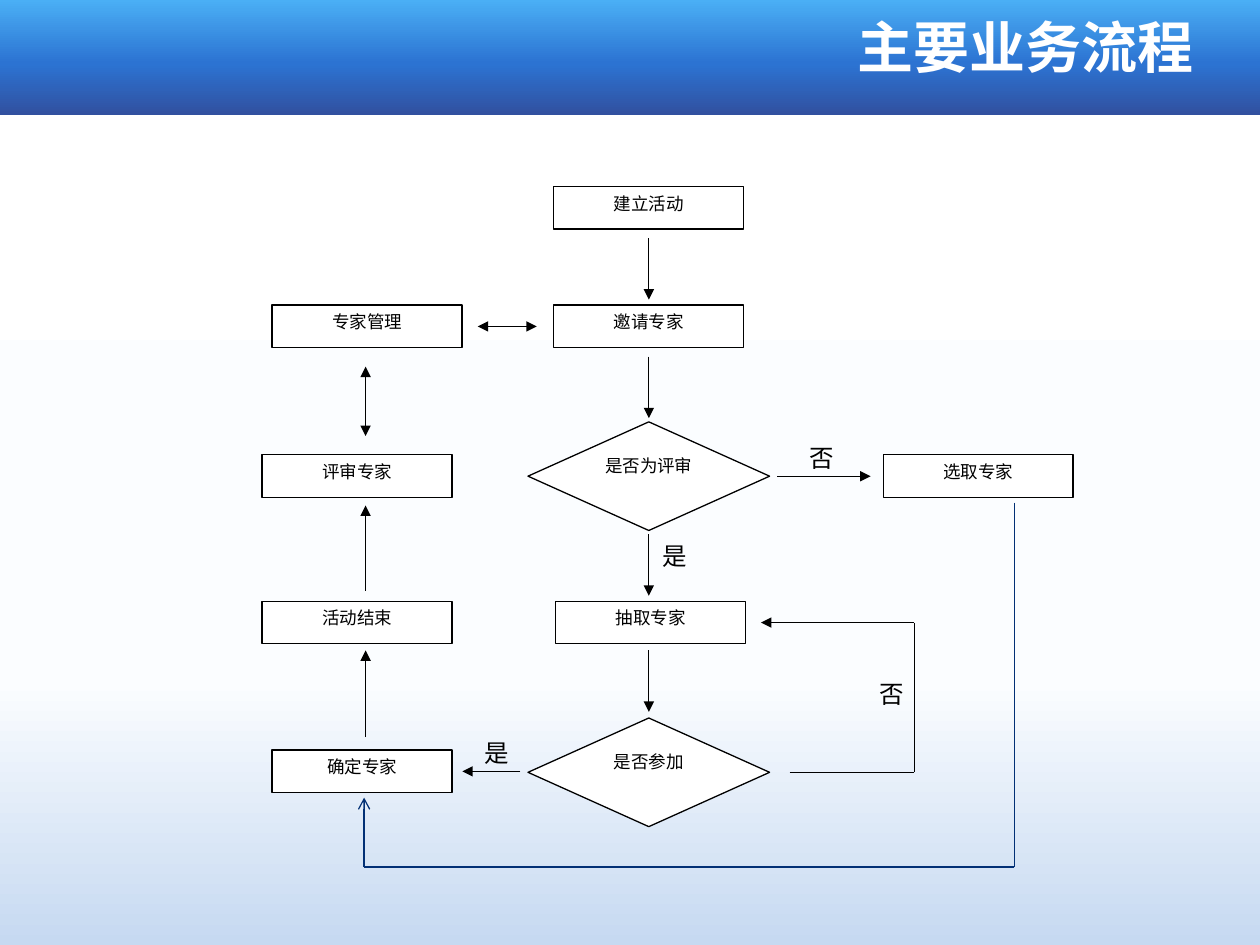
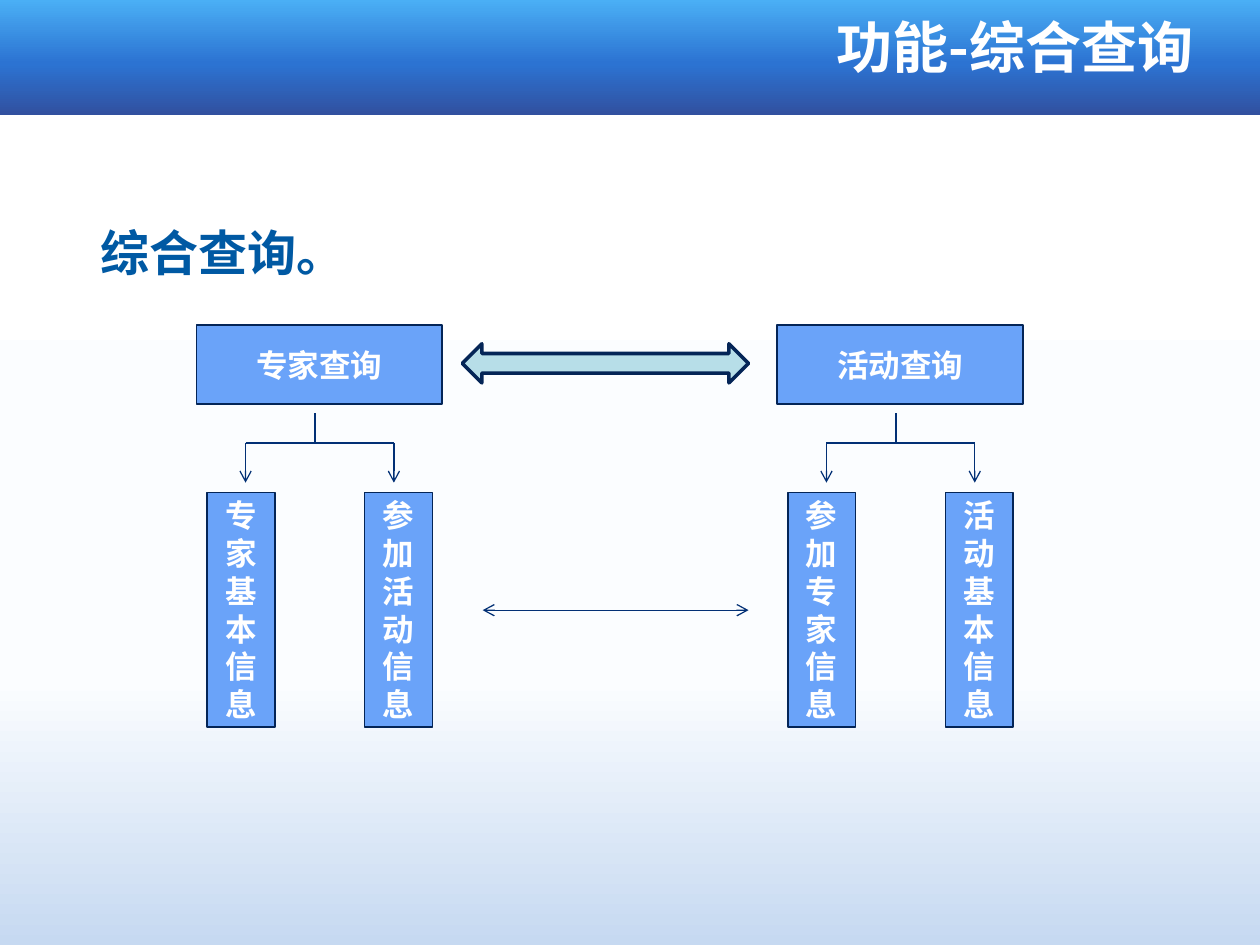
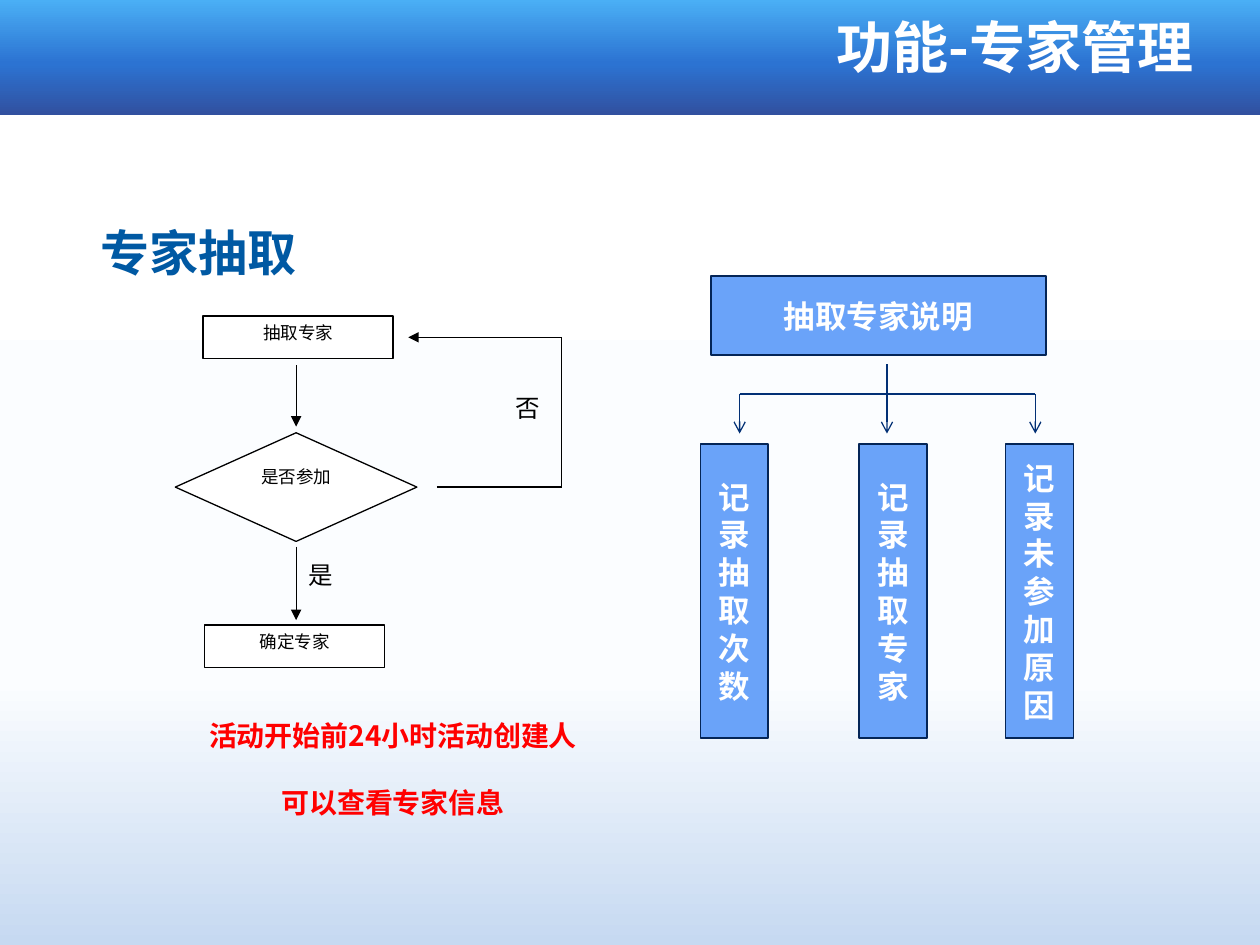
from dataclasses import dataclass

from lxml.etree import SubElement
from pptx import Presentation
from pptx.dml.color import RGBColor
from pptx.dml.fill import FillFormat
from pptx.enum.shapes import MSO_CONNECTOR, MSO_SHAPE
from pptx.enum.text import MSO_ANCHOR as Anchor, PP_ALIGN as Align
from pptx.oxml.ns import qn
from pptx.shapes.autoshape import Shape
from pptx.slide import Slide
from pptx.util import Cm, Pt

BLACK = RGBColor(0x00, 0x00, 0x00)
WHITE = RGBColor(0xFF, 0xFF, 0xFF)
RED = RGBColor(0xFF, 0x00, 0x00)
HEADING_BLUE = RGBColor(0x00, 0x59, 0xA3)
LINE_BLUE = RGBColor(0x02, 0x30, 0x75)
BLOCK_BLUE = RGBColor(0x6A, 0xA3, 0xF9)
BLOCK_EDGE = RGBColor(0x04, 0x25, 0x57)
PALE_TEAL = RGBColor(0xB7, 0xDE, 0xE8)

GradientStops = list[tuple[int, RGBColor]]
PAGE_STOPS: GradientStops = [
    (0, RGBColor(0xC6, 0xD9, 0xF1)),
    (28, RGBColor(0xFB, 0xFD, 0xFF)),
    (100, WHITE),
]
BAND_STOPS: GradientStops = [
    (0, RGBColor(0x31, 0x50, 0x9F)),
    (45, RGBColor(0x2C, 0x73, 0xD2)),
    (100, RGBColor(0x4A, 0xAF, 0xF5)),
]

HEADING_FONT = "Noto Sans CJK SC"
BODY_FONT = "Calibri"
FLOW_FONT = "Times New Roman"

BOX_WIDTH, BOX_HEIGHT = 3.83, 0.86
CONFIRM_WIDTH = 3.63
DIAMOND_WIDTH, DIAMOND_HEIGHT = 4.87, 2.19
HEADER_HEIGHT = 1.6
COLUMN_WIDTH = 1.37
ARROW_LENGTH = 1.24


@dataclass(frozen=True)
class Area:
    left: float
    top: float
    width: float
    height: float

    def lengths(self) -> tuple[Cm, Cm, Cm, Cm]:
        return Cm(self.left), Cm(self.top), Cm(self.width), Cm(self.height)


@dataclass(frozen=True)
class TextStyle:
    font: str
    size: int
    color: RGBColor
    bold: bool = False
    align: Align = Align.CENTER
    anchor: Anchor = Anchor.TOP
    spacing: float = 1.0


@dataclass(frozen=True)
class FlowStep:
    text: str
    center: float
    middle: float
    width: float = BOX_WIDTH
    decision: bool = False
    font: str = FLOW_FONT


@dataclass(frozen=True)
class Link:
    start: tuple[float, float]
    end: tuple[float, float]
    color: RGBColor = BLACK
    head: str = ""
    tail: str = ""


TITLE_STYLE = TextStyle(HEADING_FONT, 32, WHITE, True, Align.RIGHT)
HEADING_STYLE = TextStyle(HEADING_FONT, 28, HEADING_BLUE, True, Align.LEFT, spacing=2.0)
NOTICE_STYLE = TextStyle(HEADING_FONT, 16, RED, True, spacing=2.0)
BLOCK_STYLE = TextStyle(BODY_FONT, 18, WHITE, True, anchor=Anchor.MIDDLE)
ANSWER_STYLE = TextStyle(BODY_FONT, 14, BLACK, anchor=Anchor.MIDDLE)


def paint_gradient(fill: FillFormat, owner, stops: GradientStops) -> None:
    fill.gradient()
    fill.gradient_angle = 90
    stop_list = next(owner.iter(qn("a:gsLst")))
    for old_stop in list(stop_list):
        stop_list.remove(old_stop)
    for position, color in stops:
        stop = SubElement(stop_list, qn("a:gs"), pos=str(position * 1000))
        SubElement(stop, qn("a:srgbClr"), val=str(color))


def write_text(shape: Shape, lines: list[str], style: TextStyle) -> None:
    frame = shape.text_frame
    frame.word_wrap = True
    frame.vertical_anchor = style.anchor
    for index, line in enumerate(lines):
        paragraph = frame.add_paragraph() if index else frame.paragraphs[0]
        paragraph.alignment = style.align
        paragraph.line_spacing = style.spacing
        run = paragraph.add_run()
        run.text = line
        run.font.name = style.font
        run.font.size = Pt(style.size)
        run.font.bold = style.bold
        run.font.color.rgb = style.color


def add_text(slide: Slide, area: Area, lines: list[str], style: TextStyle) -> None:
    write_text(slide.shapes.add_textbox(*area.lengths()), lines, style)


def add_filled(slide: Slide, kind: MSO_SHAPE, area: Area, fill: RGBColor,
               edge: RGBColor, edge_width: float) -> Shape:
    shape = slide.shapes.add_shape(kind, *area.lengths())
    shape.shadow.inherit = False
    shape.fill.solid()
    shape.fill.fore_color.rgb = fill
    shape.line.color.rgb = edge
    shape.line.width = Pt(edge_width)
    return shape


def add_step(slide: Slide, step: FlowStep) -> None:
    kind = MSO_SHAPE.DIAMOND if step.decision else MSO_SHAPE.RECTANGLE
    width = DIAMOND_WIDTH if step.decision else step.width
    height = DIAMOND_HEIGHT if step.decision else BOX_HEIGHT
    area = Area(step.center - width / 2, step.middle - height / 2, width, height)
    shape = add_filled(slide, kind, area, WHITE, BLACK, 0.75)
    write_text(shape, [step.text], TextStyle(step.font, 10, BLACK))


def add_block(slide: Slide, text: str, area: Area) -> None:
    shape = add_filled(slide, MSO_SHAPE.RECTANGLE, area, BLOCK_BLUE, BLOCK_EDGE, 1)
    write_text(shape, [text], BLOCK_STYLE)


def add_answer(slide: Slide, text: str, center: float, middle: float) -> None:
    width, height = 1.4, 0.58
    area = Area(center - width / 2, middle - height / 2, width, height)
    add_text(slide, area, [text], ANSWER_STYLE)


def add_link(slide: Slide, link: Link) -> None:
    points = [Cm(value) for value in (*link.start, *link.end)]
    connector = slide.shapes.add_connector(MSO_CONNECTOR.STRAIGHT, *points)
    connector.line.color.rgb = link.color
    connector.line.width = Pt(0.75)
    outline = connector.line._get_or_add_ln()
    for tag, arrowhead in (("a:headEnd", link.head), ("a:tailEnd", link.tail)):
        if arrowhead:
            SubElement(outline, qn(tag), type=arrowhead)
    SubElement(connector._element.spPr, qn("a:effectLst"))


def add_route(slide: Slide, points: list[tuple[float, float]],
              color: RGBColor, tail: str) -> None:
    last = len(points) - 2
    for index, (start, end) in enumerate(zip(points, points[1:])):
        add_link(slide, Link(start, end, color, tail=tail if index == last else ""))


def add_down_arrow(slide: Slide, center: float, top: float,
                   length: float = ARROW_LENGTH) -> None:
    add_link(slide, Link((center, top), (center, top + length), tail="triangle"))


def add_draw_loop(slide: Slide, center: float, top: float, font: str) -> None:
    bottom = top + 3.02
    add_step(slide, FlowStep("抽取专家", center + 0.04, top, font=font))
    add_down_arrow(slide, center, top + 0.56)
    add_step(slide, FlowStep("是否参加", center, bottom, decision=True, font=font))
    right = center + 5.35
    points = [(center + 2.84, bottom), (right, bottom), (right, top), (center + 2.26, top)]
    add_route(slide, points, BLACK, "triangle")


def add_tree(slide: Slide, stem: float, top: float, drops: list[float]) -> None:
    bar, tip = top + 0.6, top + 1.4
    add_link(slide, Link((stem, top), (stem, bar), LINE_BLUE))
    add_link(slide, Link((drops[0], bar), (drops[-1], bar), LINE_BLUE))
    for drop in drops:
        add_link(slide, Link((drop, bar), (drop, tip), LINE_BLUE, tail="arrow"))


def start_slide(presentation: Presentation, title: str, heading: str = "") -> Slide:
    slide = presentation.slides.add_slide(presentation.slide_layouts[6])
    paint_gradient(slide.background.fill, slide.element, PAGE_STOPS)
    band_area = Area(0, 0, 25.4, 2.33)
    band = slide.shapes.add_shape(MSO_SHAPE.RECTANGLE, *band_area.lengths())
    band.shadow.inherit = False
    band.line.fill.background()
    paint_gradient(band.fill, band._element.spPr, BAND_STOPS)
    add_text(slide, Area(5.08, 0.12, 19.23, 2), [title], TITLE_STYLE)
    if heading:
        add_text(slide, Area(1.78, 3.18, 21.64, 2.5), [heading], HEADING_STYLE)
    return slide


def build_process(presentation: Presentation) -> None:
    slide = start_slide(presentation, "主要业务流程")
    center, left_line = 13.08, 7.37
    create_row, invite_row, review_row, draw_row, join_row = 4.19, 6.58, 9.6, 12.55, 15.55
    steps = [
        FlowStep("建立活动", center, create_row),
        FlowStep("邀请专家", center, invite_row),
        FlowStep("是否为评审", center, review_row, decision=True),
        FlowStep("专家管理", 7.4, invite_row),
        FlowStep("选取专家", 19.72, review_row),
        FlowStep("评审专家", 7.2, review_row),
        FlowStep("确定专家", 7.3, join_row, CONFIRM_WIDTH),
        FlowStep("活动结束", 7.2, draw_row),
    ]
    for step in steps:
        add_step(slide, step)
    add_draw_loop(slide, center, draw_row, FLOW_FONT)
    for top in (4.8, 7.19, 10.77):
        add_down_arrow(slide, center, top)
    links = [
        Link((15.67, review_row), (17.55, review_row), tail="triangle"),
        Link((9.63, invite_row), (10.82, invite_row), head="triangle", tail="triangle"),
        Link((left_line, 7.39), (left_line, 8.79), head="triangle", tail="triangle"),
        Link((10.49, join_row), (9.32, join_row), tail="triangle"),
        Link((left_line, 14.86), (left_line, 13.11), tail="triangle"),
        Link((left_line, 11.91), (left_line, 10.19), tail="triangle"),
    ]
    for link in links:
        add_link(slide, link)
    answers = [("是", 13.6, 11.21), ("是", 10.02, 15.18),
               ("否", 16.57, 9.23), ("否", 17.97, 13.98)]
    for text, answer_center, middle in answers:
        add_answer(slide, text, answer_center, middle)
    bypass = [(20.45, 10.13), (20.45, 17.48), (7.34, 17.48), (7.34, 16.08)]
    add_route(slide, bypass, LINE_BLUE, "arrow")


def build_query(presentation: Presentation) -> None:
    slide = start_slide(presentation, "功能-综合查询", "综合查询。")
    groups = [
        ("专家查询", ["专家基本信息", "参加活动信息"]),
        ("活动查询", ["参加专家信息", "活动基本信息"]),
    ]
    for index, (header, details) in enumerate(groups):
        left = 3.96 + index * 11.71
        add_block(slide, header, Area(left, 6.55, 4.95, HEADER_HEIGHT))
        add_tree(slide, left + 2.39, 8.33, [left + 0.99, left + 3.98])
        for column, detail in enumerate(details):
            area = Area(left + 0.21 + column * 3.18, 9.93, COLUMN_WIDTH, 4.72)
            add_block(slide, detail, area)
    add_filled(slide, MSO_SHAPE.LEFT_RIGHT_ARROW, Area(9.32, 6.93, 5.77, 0.79),
               PALE_TEAL, BLOCK_EDGE, 2)
    add_link(slide, Link((9.73, 12.3), (15.09, 12.3), LINE_BLUE, "arrow", "arrow"))


def build_drawing(presentation: Presentation) -> None:
    slide = start_slide(presentation, "功能-专家管理", "专家抽取")
    center = 5.97
    add_draw_loop(slide, center, 6.8, BODY_FONT)
    add_down_arrow(slide, center, 11.02, 1.48)
    add_step(slide, FlowStep("确定专家", 5.94, 13.03, CONFIRM_WIDTH, font=BODY_FONT))
    add_answer(slide, "否", 10.63, 8.22)
    add_answer(slide, "是", 6.46, 11.59)
    add_block(slide, "抽取专家说明", Area(14.33, 5.56, 6.76, HEADER_HEIGHT))
    add_tree(slide, 17.88, 7.34, [14.91, 17.88, 20.87])
    records = [("记录抽取次数", 14.12), ("记录抽取专家", 17.32), ("记录未参加原因", 20.27)]
    for text, left in records:
        add_block(slide, text, Area(left, 8.95, COLUMN_WIDTH, 5.93))
    add_text(slide, Area(2.77, 13.69, 10.31, 2.8),
             ["活动开始前24小时活动创建人", "可以查看专家信息"], NOTICE_STYLE)


def main() -> None:
    presentation = Presentation()
    presentation.slide_width = Cm(25.4)
    presentation.slide_height = Cm(19.05)
    build_process(presentation)
    build_query(presentation)
    build_drawing(presentation)
    presentation.save("out.pptx")


if __name__ == "__main__":
    main()
